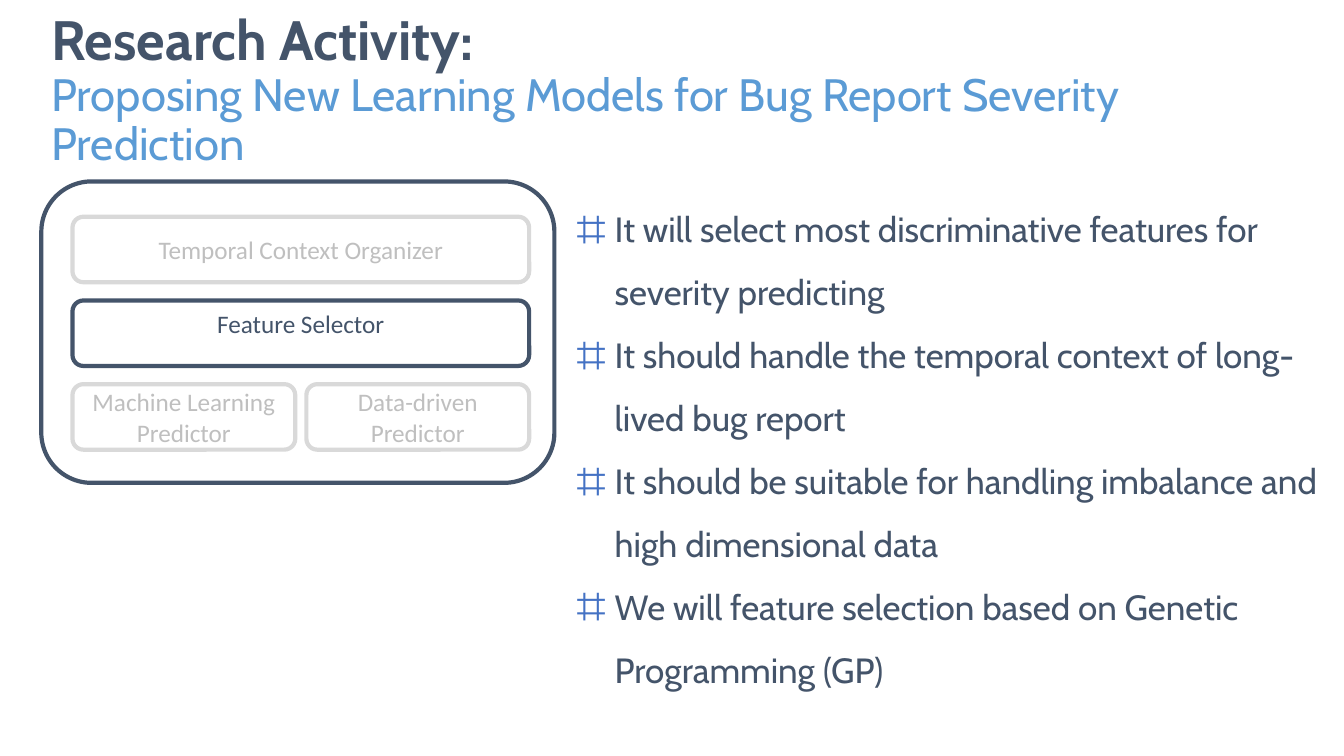
from dataclasses import dataclass

from lxml import etree
from pptx import Presentation
from pptx.dml.color import RGBColor
from pptx.enum import shapes, text
from pptx.oxml import ns
from pptx.util import Pt

COLOURS = {
    "navy": "44546A",
    "sky": "5B9BD5",
    "bullet": "4472C4",
    "border": "D9D9D9",
    "faded": "BFBFBF",
    "white": "FFFFFF",
}
MODULE_LEFT, MODULE_TOP = 51.8, 154.8
MODULE_WIDTH, MODULE_HEIGHT = 326.2, 46.8
ROW_PITCH, COLUMN_GAP = 59.8, 7.9
HALF_WIDTH = (MODULE_WIDTH - COLUMN_GAP) / 2
INDENT = 27.4


@dataclass(frozen=True)
class Module:
    """A labelled box of the learning model, placed on a row and column."""

    lines: tuple[str, ...]
    row: int
    column: int = 0
    width: float = MODULE_WIDTH
    border: str = "border"
    colour: str = "faded"
    anchor: text.MSO_ANCHOR = text.MSO_ANCHOR.MIDDLE


MODULES = (
    Module(("Temporal Context Organizer",), 0),
    Module(("Feature Selector",), 1, border="navy", colour="navy",
           anchor=text.MSO_ANCHOR.TOP),
    Module(("Machine Learning", "Predictor"), 2, width=HALF_WIDTH),
    Module(("Data-driven", "Predictor"), 2, column=1, width=HALF_WIDTH),
)
REQUIREMENTS = (
    "It will select most discriminative features for severity predicting",
    "It should handle the temporal context of long-lived bug report",
    "It should be suitable for handling imbalance and high dimensional data",
    "We will feature selection based on Genetic Programming (GP)",
)


def rgb(name: str) -> RGBColor:
    """Return the named colour."""
    return RGBColor.from_string(COLOURS[name])


def apply(target, **values) -> None:
    """Set every given value as an attribute of the target."""
    for name, value in values.items():
        setattr(target, name, value)


def add_span(para, words: str, colour: str, **font) -> None:
    """Append a formatted run to a paragraph."""
    span = para.add_run()
    span.text = words
    apply(span.font, **font)
    span.font.color.rgb = rgb(colour)


def next_para(frame, index: int):
    """Return the first paragraph for index 0, otherwise a new one."""
    return frame.add_paragraph() if index else frame.paragraphs[0]


def add_bullet(para) -> None:
    """Give a paragraph a hanging indent and a large coloured bullet."""
    props = para._p.get_or_add_pPr()
    props.set("marL", str(Pt(INDENT)))
    props.set("indent", str(-Pt(INDENT)))
    colour = etree.SubElement(props, ns.qn("a:buClr"))
    etree.SubElement(colour, ns.qn("a:srgbClr"), val=COLOURS["bullet"])
    etree.SubElement(props, ns.qn("a:buSzPct"), val="150000")
    etree.SubElement(props, ns.qn("a:buFont"), typeface="Cabin")
    etree.SubElement(props, ns.qn("a:buChar"), char="⌗")


def add_round_box(page, left: float, top: float, width: float, height: float,
                  border: str):
    """Draw a white rounded rectangle with a thick border."""
    box = page.shapes.add_shape(shapes.MSO_SHAPE.ROUNDED_RECTANGLE,
                                Pt(left), Pt(top), Pt(width), Pt(height))
    box.shadow.inherit = False
    box.fill.solid()
    box.fill.fore_color.rgb = rgb("white")
    box.line.color.rgb = rgb(border)
    box.line.width = Pt(3)
    return box


def add_module(page, module: Module) -> None:
    """Draw one labelled module."""
    left = MODULE_LEFT + module.column * (HALF_WIDTH + COLUMN_GAP)
    top = MODULE_TOP + module.row * ROW_PITCH
    box = add_round_box(page, left, top, module.width, MODULE_HEIGHT, module.border)
    frame = box.text_frame
    apply(frame, word_wrap=True, vertical_anchor=module.anchor)
    for index, line in enumerate(module.lines):
        para = next_para(frame, index)
        para.alignment = text.PP_ALIGN.CENTER
        add_span(para, line, module.colour, size=Pt(18), name="Calibri")


def add_requirements(page) -> None:
    """Write the bulleted requirements on the right."""
    box = page.shapes.add_textbox(Pt(404.6), Pt(129.6), Pt(545.8), Pt(365))
    frame = box.text_frame
    apply(frame, word_wrap=True, auto_size=text.MSO_AUTO_SIZE.SHAPE_TO_FIT_TEXT)
    for index, requirement in enumerate(REQUIREMENTS):
        para = next_para(frame, index)
        add_bullet(para)
        para.line_spacing = 1.5
        add_span(para, requirement, "navy", size=Pt(25), name="Cabin")


def fill_title(page) -> None:
    """Place the title placeholder and write its two parts."""
    title = page.shapes.title
    apply(title, left=Pt(29.5), top=Pt(28.8), width=Pt(919.4), height=Pt(73.4))
    apply(title.text_frame, word_wrap=True, auto_size=text.MSO_AUTO_SIZE.NONE,
          vertical_anchor=text.MSO_ANCHOR.MIDDLE)
    para = title.text_frame.paragraphs[0]
    apply(para, alignment=text.PP_ALIGN.LEFT, line_spacing=0.9)
    add_span(para, "Research Activity:", "navy",
             size=Pt(39.6), name="Cabin", bold=True)
    para.add_line_break()
    add_span(para, "Proposing New Learning Models for Bug Report Severity Prediction",
             "sky", size=Pt(32.4), name="Cabin", bold=False)


def main() -> None:
    """Build the slide and save it."""
    deck = Presentation()
    apply(deck, slide_width=Pt(960), slide_height=Pt(540))
    page = deck.slides.add_slide(deck.slide_layouts[5])
    fill_title(page)
    add_requirements(page)
    add_round_box(page, 29.5, 129.6, 366.5, 215.3, "navy")
    for module in MODULES:
        add_module(page, module)
    deck.save("out.pptx")


if __name__ == "__main__":
    main()
